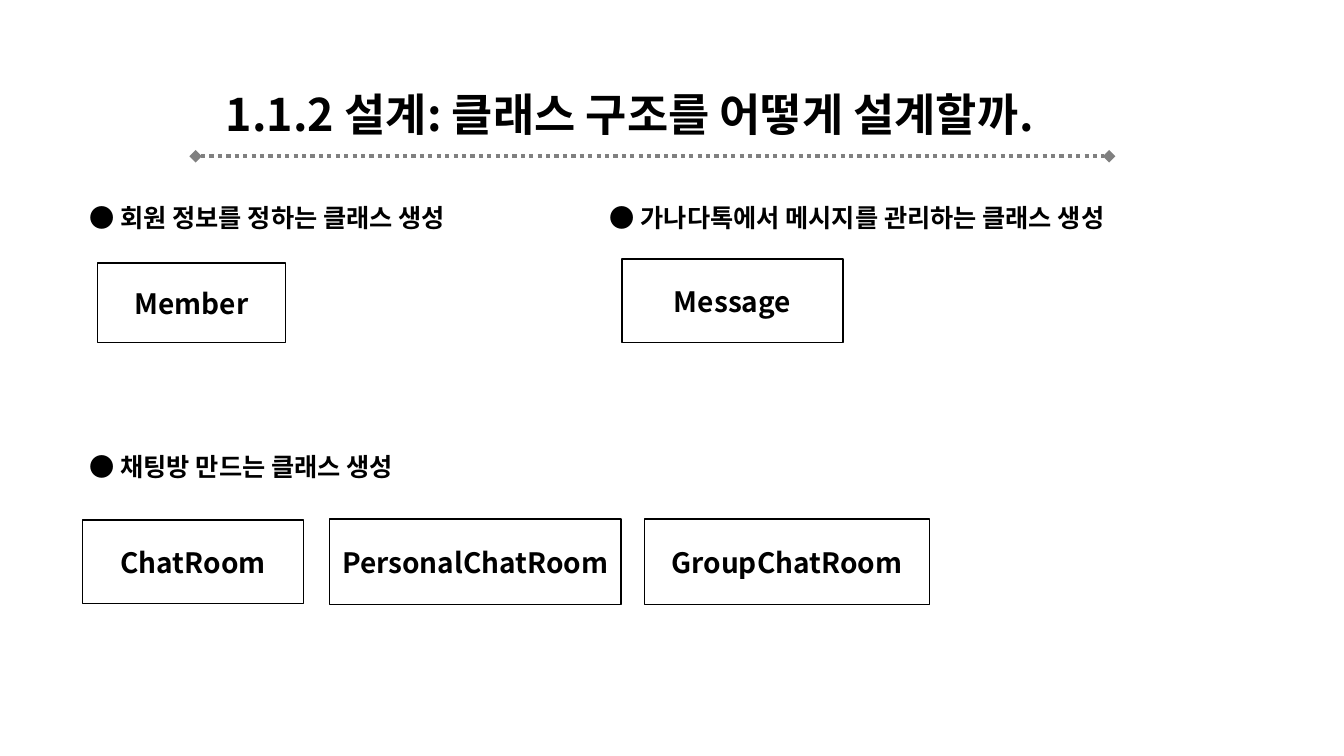
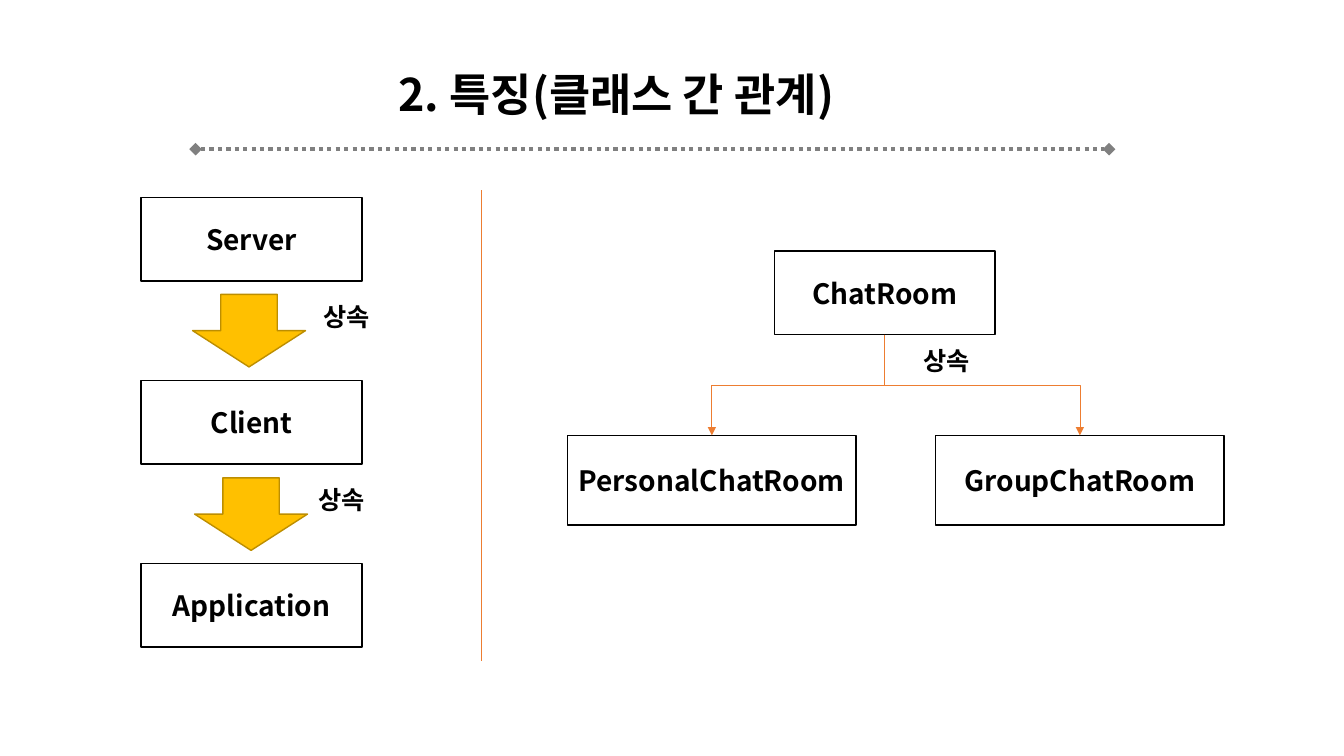
from dataclasses import dataclass

from lxml.etree import SubElement
from pptx import Presentation
from pptx.dml.color import RGBColor
from pptx.enum.dml import MSO_LINE_DASH_STYLE as Dash
from pptx.enum.shapes import MSO_CONNECTOR as Link, MSO_SHAPE as Shape
from pptx.enum.text import MSO_ANCHOR as Anchor, MSO_AUTO_SIZE as AutoSize, PP_ALIGN as Align
from pptx.oxml.ns import qn
from pptx.shapes.autoshape import Shape as AutoShape
from pptx.shapes.connector import Connector
from pptx.slide import Slide
from pptx.text.text import TextFrame
from pptx.util import Inches, Pt

COLORS = {
    "ink": "000000",
    "paper": "FFFFFF",
    "rule": "808080",
    "branch": "ED7D31",
    "arrow": "FFC000",
    "arrow_edge": "BD8E00",
}
FONT = "Noto Sans CJK KR"
TITLE_SIZE, BOX_SIZE, LABEL_SIZE = 32, 20, 18
TITLE_ONLY = 5


@dataclass(frozen=True)
class Area:
    left: float
    top: float
    width: float
    height: float

    @property
    def center(self) -> float:
        return self.left + self.width / 2

    @property
    def bottom(self) -> float:
        return self.top + self.height

    def lengths(self) -> tuple[int, int, int, int]:
        return Inches(self.left), Inches(self.top), Inches(self.width), Inches(self.height)


@dataclass(frozen=True)
class Block:
    text: str
    area: Area


def color(name: str) -> RGBColor:
    return RGBColor.from_string(COLORS[name])


def write(frame: TextFrame, text: str, size: float, align: Align = Align.LEFT) -> None:
    frame.word_wrap = True
    frame.text = text
    for para in frame.paragraphs:
        para.alignment = align
        for span in para.runs:
            span.font.size = Pt(size)
            span.font.bold = True
            span.font.color.rgb = color("ink")
            span.font.name = FONT
            SubElement(span.font._element, qn("a:ea"), typeface=FONT)


def add_title(page: Slide, block: Block) -> TextFrame:
    title = page.shapes.title
    title.left, title.top, title.width, title.height = block.area.lengths()
    frame = title.text_frame
    frame.auto_size = AutoSize.SHAPE_TO_FIT_TEXT
    frame.vertical_anchor = Anchor.TOP
    write(frame, block.text, TITLE_SIZE)
    return frame


def number_title(frame: TextFrame, indent: float) -> None:
    properties = frame.paragraphs[0]._p.get_or_add_pPr()
    properties.set("marL", str(Inches(indent)))
    properties.set("indent", str(-Inches(indent)))
    SubElement(properties, qn("a:buFont"), typeface=FONT)
    SubElement(properties, qn("a:buAutoNum"), type="arabicPeriod")


def add_label(page: Slide, block: Block) -> None:
    frame = page.shapes.add_textbox(*block.area.lengths()).text_frame
    frame.auto_size = AutoSize.SHAPE_TO_FIT_TEXT
    write(frame, block.text, LABEL_SIZE)


def add_figure(page: Slide, kind: Shape, area: Area, fill: str, edge: str) -> AutoShape:
    figure = page.shapes.add_shape(kind, *area.lengths())
    figure.shadow.inherit = False
    figure.fill.solid()
    figure.fill.fore_color.rgb = color(fill)
    figure.line.color.rgb = color(edge)
    figure.line.width = Pt(1)
    return figure


def add_class(page: Slide, block: Block) -> None:
    box = add_figure(page, Shape.RECTANGLE, block.area, "paper", "ink")
    box.text_frame.vertical_anchor = Anchor.MIDDLE
    write(box.text_frame, block.text, BOX_SIZE, Align.CENTER)


def add_line(
    page: Slide,
    start: tuple[float, float],
    end: tuple[float, float],
    ink: str,
    weight: float,
    kind: Link = Link.STRAIGHT,
    dash: Dash | None = None,
    head: str = "none",
    tail: str = "none",
) -> Connector:
    points = [Inches(value) for value in (*start, *end)]
    line = page.shapes.add_connector(kind, *points)
    line.line.color.rgb = color(ink)
    line.line.width = Pt(weight)
    if dash is not None:
        line.line.dash_style = dash
    outline = line.line._get_or_add_ln()
    SubElement(outline, qn("a:headEnd"), type=head)
    SubElement(outline, qn("a:tailEnd"), type=tail)
    SubElement(line._element.spPr, qn("a:effectLst"))
    return line


def add_title_rule(page: Slide, top: float) -> None:
    add_line(page, (1.94, top), (11, top), "rule", 3,
             dash=Dash.ROUND_DOT, head="diamond", tail="diamond")


def add_branch(page: Slide, parent: Area, child: Area) -> None:
    center = (parent.center + child.center) / 2
    middle = (parent.bottom + child.top) / 2
    reach = abs(child.center - parent.center) / 2
    drop = (child.top - parent.bottom) / 2
    to_right = child.center > parent.center
    side = drop if to_right else -drop
    branch = add_line(page, (center + side, middle - reach), (center - side, middle + reach),
                      "branch", 0.5, kind=Link.ELBOW, tail="triangle")
    turn = 270 if to_right else 90
    branch._element.spPr.find(qn("a:xfrm")).set("rot", str(turn * 60000))


def build_design(page: Slide) -> None:
    title = Block("1.2 설계: 클래스 구조를 어떻게 설계할까.", Area(2.14, 0.81, 9.82, 0.64))
    number_title(add_title(page, title), 0.38)
    add_title_rule(page, 1.55)
    for label in (
        Block("● 회원 정보를 정하는 클래스 생성", Area(0.79, 1.96, 5, 0.4)),
        Block("● 가나다톡에서 메시지를 관리하는 클래스 생성", Area(5.95, 1.96, 5.73, 0.4)),
        Block("● 채팅방 만드는 클래스 생성", Area(0.79, 4.43, 8.15, 0.4)),
    ):
        add_label(page, label)
    for box in (
        Block("Member", Area(0.97, 2.61, 1.86, 0.79)),
        Block("Message", Area(6.17, 2.57, 2.19, 0.83)),
        Block("ChatRoom", Area(0.82, 5.16, 2.19, 0.83)),
        Block("PersonalChatRoom", Area(3.27, 5.15, 2.89, 0.85)),
        Block("GroupChatRoom", Area(6.39, 5.15, 2.83, 0.85)),
    ):
        add_class(page, box)


def build_relations(page: Slide) -> None:
    add_title(page, Block("2. 특징(클래스 간 관계)", Area(3.85, 0.61, 5.43, 0.64)))
    add_title_rule(page, 1.48)
    for row, name in enumerate(("Server", "Client", "Application")):
        add_class(page, Block(name, Area(1.4, 1.96 + 1.815 * row, 2.19, 0.83)))
    for left, top in ((1.91, 2.92), (1.93, 4.74)):
        add_figure(page, Shape.DOWN_ARROW, Area(left, top, 1.12, 0.72), "arrow", "arrow_edge")
    add_line(page, (4.77, 1.89), (4.77, 6.56), "branch", 0.5)

    parent = Block("ChatRoom", Area(7.68, 2.49, 2.19, 0.83))
    children = (
        Block("PersonalChatRoom", Area(5.63, 4.32, 2.86, 0.89)),
        Block("GroupChatRoom", Area(9.28, 4.32, 2.86, 0.89)),
    )
    add_class(page, parent)
    for child in children:
        add_class(page, child)
        add_branch(page, parent.area, child.area)
    for left, top in ((3.11, 2.94), (3.06, 4.76), (9.06, 3.38)):
        add_label(page, Block("상속", Area(left, top, 1.22, 0.4)))


def main() -> None:
    deck = Presentation()
    deck.slide_width, deck.slide_height = Inches(13.33), Inches(7.5)
    for build in (build_design, build_relations):
        build(deck.slides.add_slide(deck.slide_layouts[TITLE_ONLY]))
    deck.save("out.pptx")


main()
